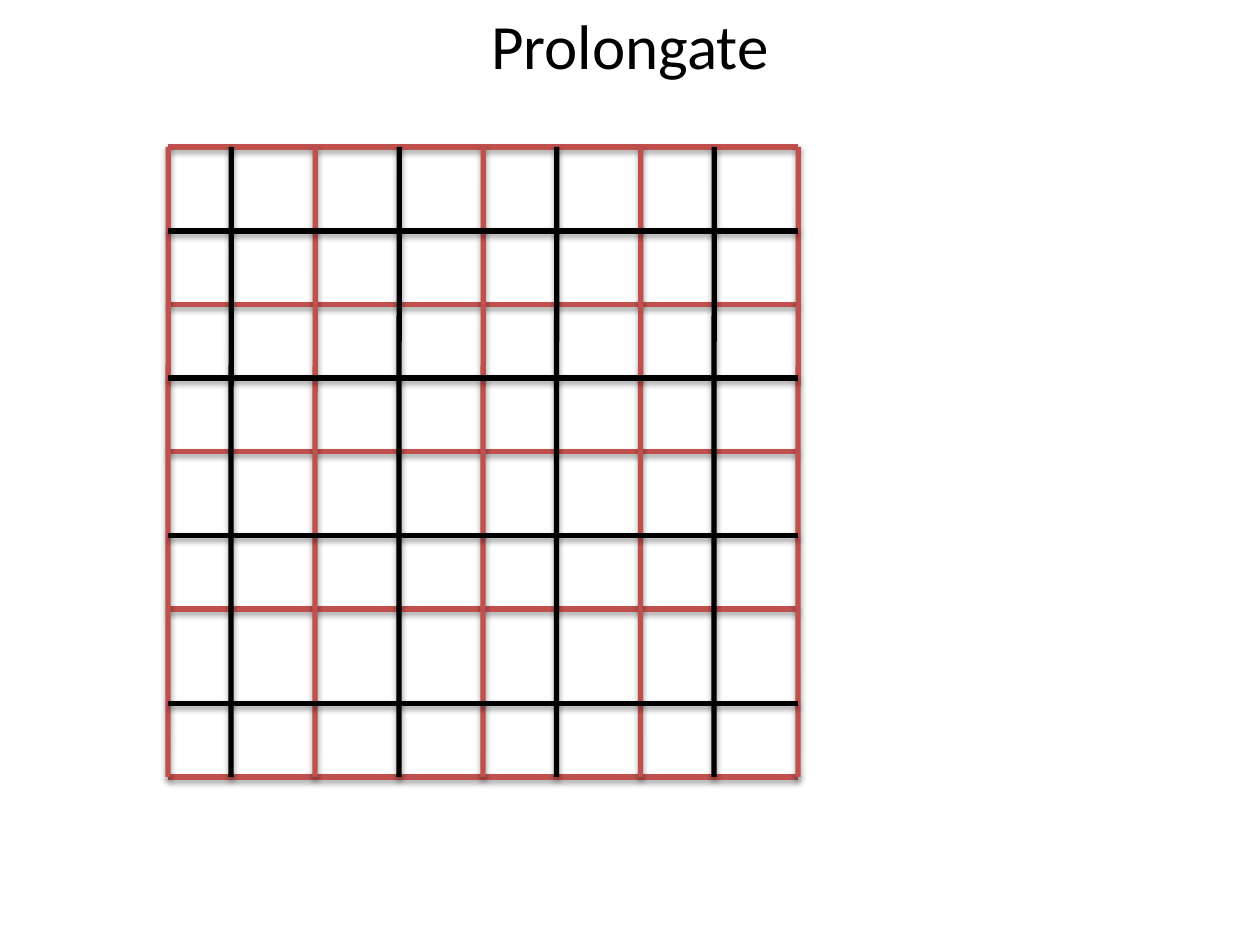
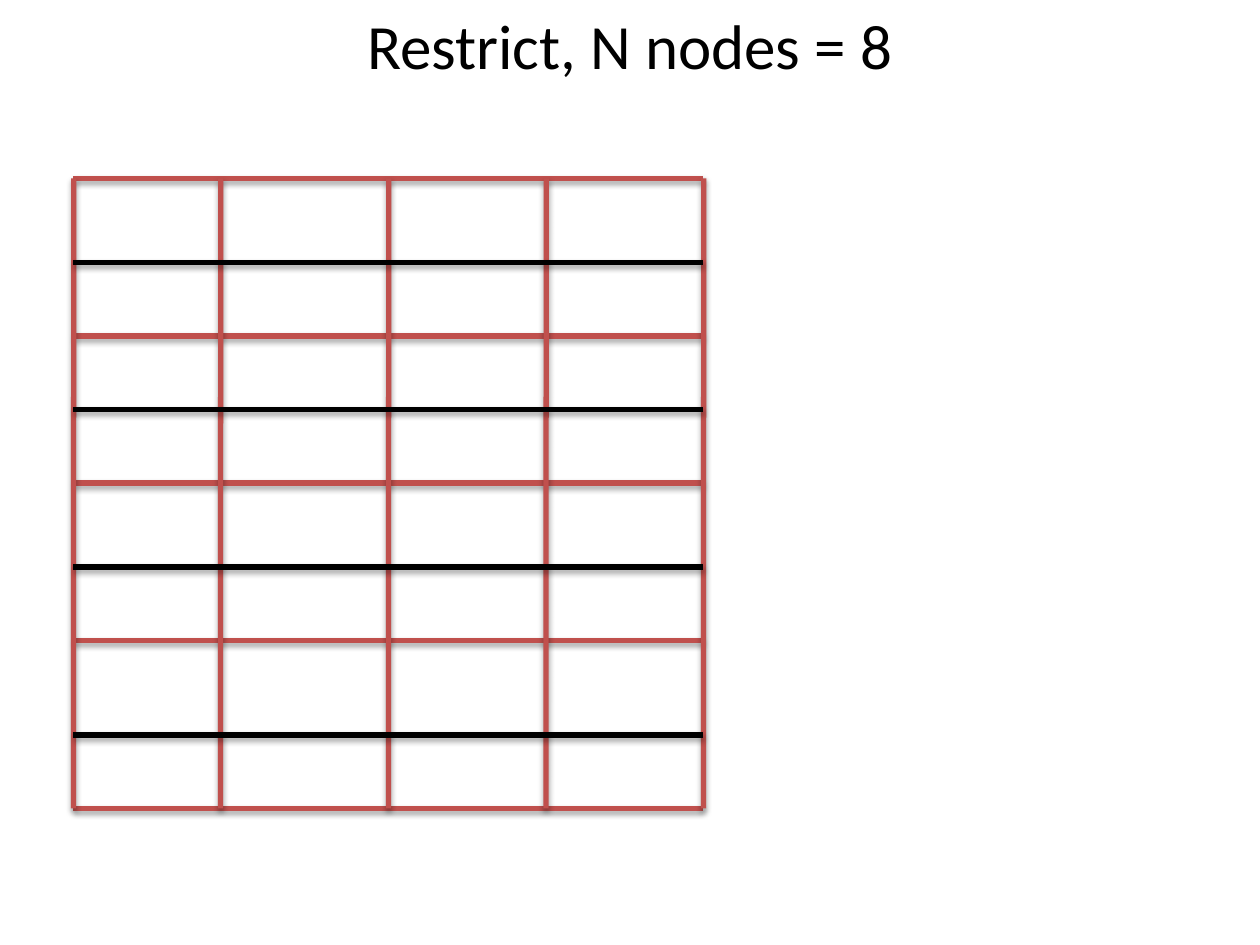
from dataclasses import dataclass

from lxml import etree
from pptx import Presentation
from pptx.dml.color import RGBColor
from pptx.enum.shapes import MSO_CONNECTOR
from pptx.enum.text import MSO_AUTO_SIZE, PP_ALIGN
from pptx.oxml.ns import qn
from pptx.util import Emu, Inches, Pt

STRAIGHT = MSO_CONNECTOR.STRAIGHT
CENTER = PP_ALIGN.CENTER
GROW = MSO_AUTO_SIZE.SHAPE_TO_FIT_TEXT

COLORS = {"coarse": "C0504D", "fine": "000000", "title": "000000", "shadow": "000000"}
FONT = "Calibri"

UNIT = Inches(1) // 12  # drawing grid: twelve units to the inch
SIDE = 60               # mesh side in grid units
LEAN = Emu(1600)        # vertical lines start slightly right of their foot

# Mesh line offsets from the top left corner, in grid units
COARSE_ROWS = (0, 15, 29, 44, 60)
COARSE_COLUMNS = (0, 14, 30, 45, 60)
FINE_ROWS = (8, 22, 37, 53)
FINE_COLUMNS = (6, 22, 37, 52)


@dataclass(frozen=True)
class Mesh:
    title: str
    left: int
    top: int
    fine_columns: tuple[int, ...] = ()


MESHES = (
    Mesh("Prolongate", 16, 14, FINE_COLUMNS),
    Mesh("Restrict, N nodes = 8", 7, 17),
)


def add_shadow(line) -> None:
    """Give a line a soft shadow straight below it."""
    effects = etree.SubElement(line._element.spPr, qn("a:effectLst"))
    shadow = etree.SubElement(effects, qn("a:outerShdw"), blurRad="40000",
                              dist="23000", dir="5400000", rotWithShape="0")
    color = etree.SubElement(shadow, qn("a:srgbClr"), val=COLORS["shadow"])
    etree.SubElement(color, qn("a:alpha"), val="35000")


def add_line(group, x1: int, y1: int, x2: int, y2: int, color: str) -> None:
    line = group.shapes.add_connector(STRAIGHT, x1, y1, x2, y2)
    line.line.color.rgb = RGBColor.from_string(COLORS[color])
    line.line.width = Pt(3)
    add_shadow(line)


def add_rows(group, mesh: Mesh, rows: tuple[int, ...], color: str) -> None:
    for row in rows:
        y = (mesh.top + row) * UNIT
        add_line(group, mesh.left * UNIT, y, (mesh.left + SIDE) * UNIT, y, color)


def add_columns(group, mesh: Mesh, columns: tuple[int, ...], color: str) -> None:
    for column in columns:
        x = (mesh.left + column) * UNIT
        add_line(group, x + LEAN, mesh.top * UNIT, x, (mesh.top + SIDE) * UNIT, color)


def add_title(slide, text: str, width: int) -> None:
    title = slide.shapes.add_textbox(0, 0, width, Inches(0.71))
    frame = title.text_frame
    frame.word_wrap = True
    frame.auto_size = GROW
    paragraph = frame.paragraphs[0]
    paragraph.text = text
    paragraph.alignment = CENTER
    paragraph.font.name = FONT
    paragraph.font.size = Pt(36)
    paragraph.font.color.rgb = RGBColor.from_string(COLORS["title"])


deck = Presentation()
deck.slide_width, deck.slide_height = Inches(10), Inches(7.5)
blank = deck.slide_layouts[6]

for mesh in MESHES:
    slide = deck.slides.add_slide(blank)
    group = slide.shapes.add_group_shape()
    # Coarse mesh, then the fine lines over it
    add_rows(group, mesh, COARSE_ROWS, "coarse")
    add_columns(group, mesh, COARSE_COLUMNS, "coarse")
    add_columns(group, mesh, mesh.fine_columns, "fine")
    add_rows(group, mesh, FINE_ROWS, "fine")
    add_title(slide, mesh.title, deck.slide_width)

deck.save("out.pptx")
